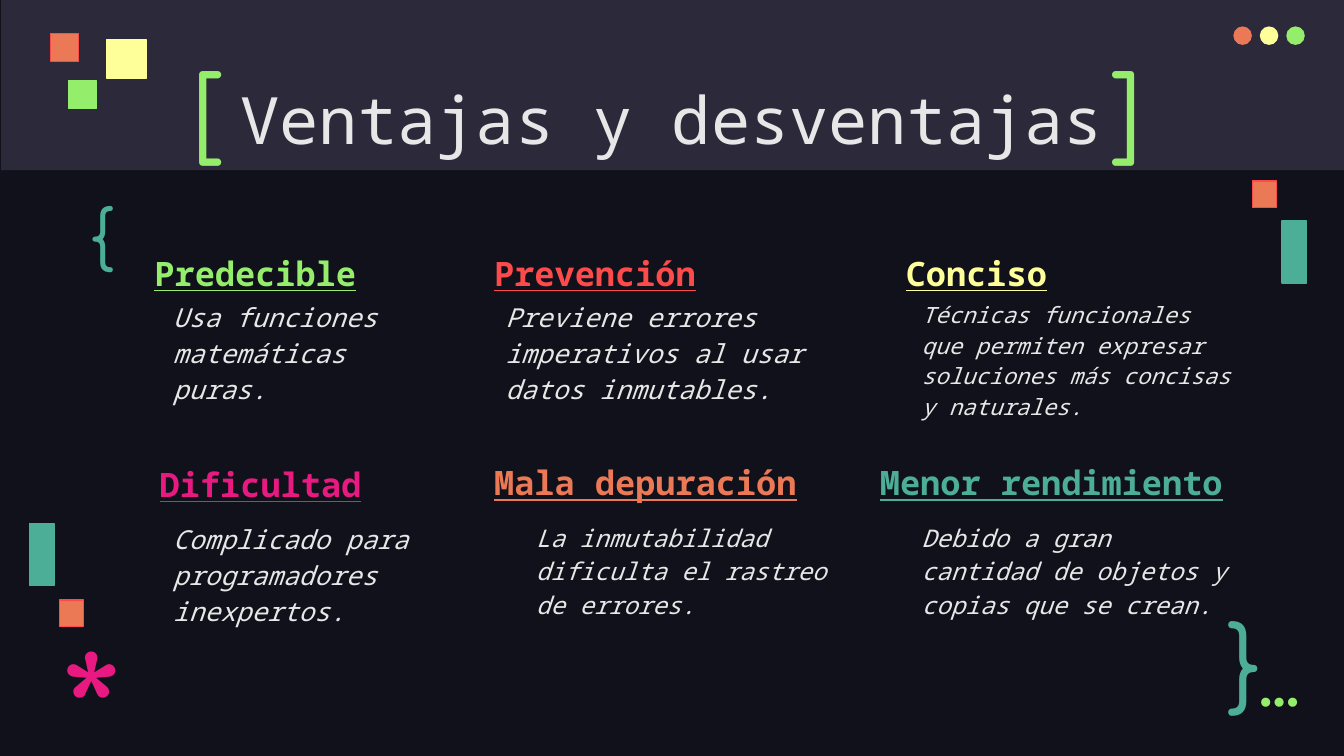
import pptx
import pptx.util
import pptx.dml.color
import pptx.enum.shapes
import pptx.enum.text

Cm = pptx.util.Cm
Kind = pptx.enum.shapes.MSO_SHAPE
Side = pptx.enum.text.PP_ALIGN
Hold = pptx.enum.text.MSO_ANCHOR

NIGHT, BAND, WHITE = "10111A", "2C293A", "E7E7E7"
GREEN, RED, YELLOW = "94EE6B", "FD4A4A", "FFFF99"
PINK, ORANGE, TEAL = "E81A81", "EC7955", "4CAE97"
MONO, ROUND, CODE = "Noto Sans Mono", "Comfortaa", "Fira Code"


def tint(fill, color):
    """Make a fill solid in the given hex colour."""
    fill.solid()
    fill.fore_color.rgb = pptx.dml.color.RGBColor.from_string(color)


def place(shape, box):
    """Put a shape at a box of left, top, width and height in cm."""
    shape.left, shape.top, shape.width, shape.height = map(Cm, box)


def write(shape, text, size, color, font=MONO, bold=False, slant=False,
          under=False, align=Side.LEFT, anchor=Hold.TOP, space=None):
    """Fill a shape with one formatted paragraph."""
    frame = shape.text_frame
    frame.word_wrap = True
    frame.auto_size = pptx.enum.text.MSO_AUTO_SIZE.NONE
    frame.vertical_anchor = anchor
    frame.margin_left = frame.margin_right = Cm(0.25)
    frame.margin_top = frame.margin_bottom = Cm(0.25)
    line = frame.paragraphs[0]
    line.alignment = align
    line.line_spacing = space
    run = line.add_run()
    run.text = text
    run.font.name, run.font.size = font, pptx.util.Pt(size)
    run.font.bold, run.font.italic, run.font.underline = bold, slant, under
    tint(run.font.fill, color)


def label(slide, box, text, size, color, **style):
    """Add a text box."""
    write(slide.shapes.add_textbox(*map(Cm, box)), text, size, color, **style)


def block(slide, box, color, edge=None, kind=Kind.RECTANGLE):
    """Add a flat shape, with an outline if an edge colour is given."""
    shape = slide.shapes.add_shape(kind, *map(Cm, box))
    shape.shadow.inherit = False
    tint(shape.fill, color)
    if edge:
        tint(shape.line.fill, edge)
        shape.line.width = pptx.util.Pt(0.75)
    else:
        shape.line.fill.background()
    return shape


def header(slide, box):
    """Draw the band with its title, brackets, dots and squares."""
    left, top, width, height = box
    band = block(slide, box, BAND)
    slide.shapes._spTree.insert(2, band._element)
    title = slide.shapes.title
    place(title, (left + 1.98, top + 1.24, 21.41, 1.6))
    write(title, "Ventajas y desventajas", 35, WHITE, align=Side.CENTER)
    for sign, x in (("[", 3.38), ("]", 20.75)):
        label(slide, (left + x, top + 0.71, 1.96, 2.41), sign, 50, GREEN,
              font=ROUND)
    for i, color in enumerate((ORANGE, YELLOW, GREEN)):
        block(slide, (left + 23.29 + 0.5 * i, top + 0.5, 0.35, 0.35), color,
              kind=Kind.OVAL)
    for x, y, side, color, edge in ((0.94, 0.64, 0.53, ORANGE, RED),
                                    (1.27, 1.52, 0.53, GREEN, GREEN),
                                    (2, 0.75, 0.74, YELLOW, YELLOW)):
        block(slide, (left + x, top + y, side, side), color, edge)


def card(slide, box, head, color, body, size, shift, wide):
    """Write a heading in the box and its body text below."""
    left, top, width, height = box
    label(slide, (left, top, width, 1.37), head, 18, color, bold=True,
          under=True, anchor=Hold.BOTTOM, space=1.15)
    label(slide, (left + shift, top + height - 2.44, wide, 2.44), body, size,
          WHITE, slant=True, space=1.15)


def trim(slide, box):
    """Draw the signs and bars along the edges of the body."""
    left, top, width, height = box
    signs = (("{", 1.45, 0.17, 1.45, 2.11, 35, TEAL),
             ("}", 22.94, 7.9, 1.45, 2.11, 50, TEAL),
             ("*", 0.89, 8.2, 1.45, 2.21, 86, PINK))
    for sign, x, y, wide, high, size, color in signs:
        label(slide, (left + x, top + y, wide, high), sign, size, color,
              font=ROUND)
    label(slide, (left + 22.1, top + 8.89, 2.72, 1.52), "…", 35, GREEN,
          font=CODE, align=Side.RIGHT, anchor=Hold.MIDDLE)
    for x, y in ((1.12, 8.12), (23.67, 0.2)):
        block(slide, (left + x, top + y, 0.46, 0.51), ORANGE, RED)
    for x, y in ((0.56, 6.68), (24.23, 0.96)):
        block(slide, (left + x, top + y, 0.46, 1.17), TEAL, TEAL)


def build():
    """Build the slide and save it."""
    deck = pptx.Presentation()
    deck.slide_width, deck.slide_height = Cm(25.4), Cm(14.29)
    slide = deck.slides.add_slide(deck.slide_layouts[5])
    tint(slide.background.fill, NIGHT)
    header(slide, (0.02, 0, 25.4, 3.22))
    cards = (
        ((2.67, 4.42, 5.49, 3.38), "Predecible", GREEN,
         "Usa funciones matemáticas puras.", 14, 0.35, 5.51),
        ((9.09, 4.42, 5.49, 3.38), "Prevención", RED,
         "Previene errores imperativos al usar datos inmutables.",
         14, 0.21, 6.38),
        ((16.87, 4.42, 5.49, 3.38), "Conciso", YELLOW,
         "Técnicas funcionales que permiten expresar soluciones más "
         "concisas y naturales.", 12, 0.3, 6.58),
        ((2.77, 8.41, 5.49, 3.58), "Dificultad", PINK,
         "Complicado para programadores inexpertos.", 14, 0.25, 5.51),
        ((9.09, 8.38, 6.78, 3.61), "Mala depuración", ORANGE,
         "La inmutabilidad dificulta el rastreo de errores.",
         13, 0.79, 5.99),
        ((16.38, 8.38, 7.37, 3.61), "Menor rendimiento", TEAL,
         "Debido a gran cantidad de objetos y copias que se crean.",
         13, 0.79, 6.38),
    )
    for item in cards:
        card(slide, *item)
    trim(slide, (0, 3.22, 25.4, 11.07))
    deck.save("out.pptx")


if __name__ == "__main__":
    build()
